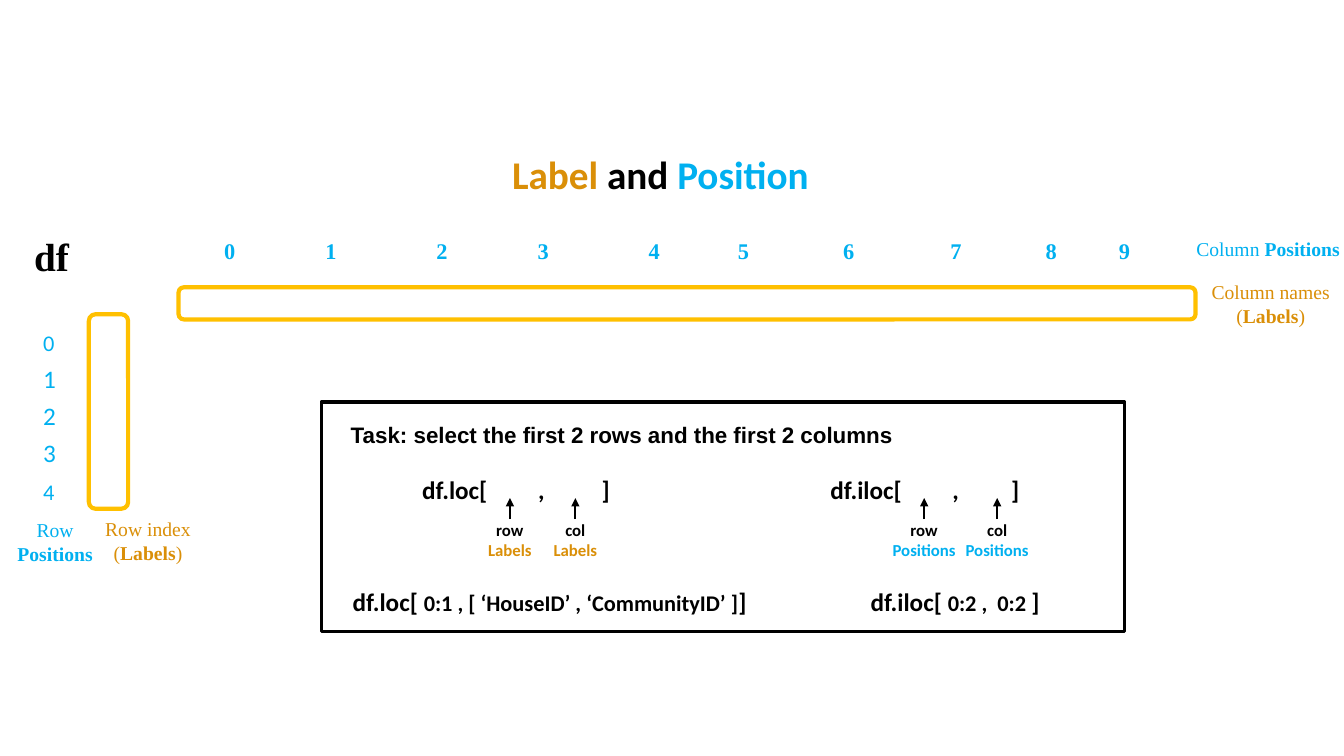
import pptx
import pptx.util
import pptx.dml.color
import pptx.enum.shapes
import pptx.enum.text
import pptx.oxml
import pptx.oxml.ns

Cm = pptx.util.Cm
Pt = pptx.util.Pt
SHAPE = pptx.enum.shapes.MSO_SHAPE
ALIGN = pptx.enum.text.PP_ALIGN
ANCHOR = pptx.enum.text.MSO_ANCHOR
INK = {"label": "DA8F08", "place": "00B0F0", "frame": "FFC000",
       "black": "000000", "white": "FFFFFF"}
SERIF, SANS = "Times New Roman", "Calibri"


def tint(name):
    """Return the named colour."""
    return pptx.dml.color.RGBColor.from_string(INK[name])


def write(frame, lines, size, font, align=ALIGN.LEFT, anchor=ANCHOR.TOP):
    """Fill a frame with lines of (text, colour, bold[, size]) runs."""
    frame.word_wrap = True
    frame.auto_size = pptx.enum.text.MSO_AUTO_SIZE.NONE
    frame.vertical_anchor = anchor
    for i, line in enumerate(lines):
        para = frame.add_paragraph() if i else frame.paragraphs[0]
        para.alignment = align
        for text, ink, bold, *own in line:
            run = para.add_run()
            run.text = text
            run.font.size = Pt(own[0] if own else size)
            run.font.name = font
            run.font.bold = bold
            run.font.color.rgb = tint(ink)


def note(slide, box, lines, size, font, **more):
    """Add a text box and return its frame."""
    frame = slide.shapes.add_textbox(*map(Cm, box)).text_frame
    write(frame, lines, size, font, **more)
    return frame


def stops(frame, spots, side):
    """Set tab stops, in cm, on the first paragraph."""
    props = frame.paragraphs[0]._p.get_or_add_pPr()
    tabs = pptx.oxml.ns.qn("a:tabLst")
    tabs = props.makeelement(tabs, {})
    props.append(tabs)
    for spot in spots:
        tab = tabs.makeelement(pptx.oxml.ns.qn("a:tab"), {"pos": str(int(Cm(spot))), "algn": side})
        tabs.append(tab)


def panel(slide, kind, box, ink, width, fill=None):
    """Add an outlined box."""
    shape = slide.shapes.add_shape(kind, *map(Cm, box))
    shape.shadow.inherit = False
    shape.line.color.rgb = tint(ink)
    shape.line.width = Pt(width)
    if fill:
        shape.fill.solid()
        shape.fill.fore_color.rgb = tint(fill)
    else:
        shape.fill.background()


def arrow(slide, x, low, high):
    """Draw an upward arrow."""
    kind = pptx.enum.shapes.MSO_CONNECTOR.STRAIGHT
    line = slide.shapes.add_connector(kind, Cm(x), Cm(low), Cm(x), Cm(high))
    line.line.color.rgb = tint("black")
    line.line.width = Pt(1.5)
    head = pptx.oxml.ns.qn("a:tailEnd")
    edge = line.line._get_or_add_ln()
    edge.append(edge.makeelement(head, {"type": "triangle"}))
    props = line._element.spPr
    props.append(props.makeelement(pptx.oxml.ns.qn("a:effectLst"), {}))


def labels(text):
    """Return the two lines of a label note."""
    return [[(text, "label", False)],
            [("(", "label", False), ("Labels", "label", True), (")", "label", False)]]


def heading(slide, box):
    """Place the slide title."""
    title = slide.shapes.title
    title.left, title.top, title.width, title.height = map(Cm, box)
    write(title.text_frame, [[("Label", "label", True), (" and ", "black", True),
                              ("Position", "place", True)]], 28, SANS)


def columns(slide, box):
    """Place the column positions and the column label frame."""
    x, y, w, h = box
    text = "".join(f"\t{i}" for i in range(10))
    frame = note(slide, (x, y, 28.98, 0.94), [[(text, "place", True)]], 16, SERIF)
    stops(frame, (2.8, 5.35, 8.15, 10.7, 13.5, 15.75, 18.4, 21.1, 23.5, 25.35), "ctr")
    panel(slide, SHAPE.ROUNDED_RECTANGLE, (x + 1.76, y + 1.4, 25.63, 0.81), "frame", 3)
    note(slide, (x + w - 4.2, y, 4.2, 0.86),
         [[("Column ", "place", False), ("Positions", "place", True)]], 14, SERIF)
    note(slide, (x + w - 4.31, y + h - 1.45, 4.47, 1.45), labels("Column names"),
         14, SERIF, align=ALIGN.CENTER)


def rows(slide, box):
    """Place the row positions and the row label frame."""
    x, y, w, h = box
    note(slide, (x + 0.58, y, 1.78, 1.45), [[("df", "black", True)]], 28, SERIF)
    for i in range(5):
        size = 16 if i in (0, 4) else 18
        note(slide, (x + 0.81, y + 2.35 + 0.94 * i, 1.27, 1.02),
             [[(str(i), "place", False)]], size, SANS, anchor=ANCHOR.BOTTOM)
    panel(slide, SHAPE.ROUNDED_RECTANGLE, (x + 2.21, y + 2.2, 0.99, 4.9), "frame", 3)
    note(slide, (x, y + h - 1.45, 2.72, 1.45),
         [[("Row", "place", False)], [("Positions", "place", True)]],
         14, SERIF, align=ALIGN.CENTER)
    note(slide, (x + w - 3.96, y + h - 1.47, 3.96, 1.45), labels("Row index"),
         14, SERIF, align=ALIGN.CENTER)


def method(slide, box, name, gaps, marks, kind, ink, shift, answer):
    """Place one selector with its arrows, tags and answer."""
    x, y, w, h = box
    frame = note(slide, (x, y, 5.33, 1.02), [[(f"df.{name}[\t,\t]", "black", True)]], 18, SANS)
    stops(frame, gaps, "l")
    for axis, mark in zip(("row", "col"), marks):
        arrow(slide, x + mark, y + 1.24, y + 0.71)
        note(slide, (x + mark - 1.2, y + 1.14, 2.4, 1.27),
             [[(axis, "black", True)], [(kind, ink, True)]], 12, SANS, align=ALIGN.CENTER)
    note(slide, (x + shift, y + h - 1.02, w, 1.02),
         [[(f"df.{name}[ ", "black", True), (answer, "black", True, 16), ("]", "black", True)]],
         18, SANS)


def task(slide, box):
    """Place the task panel with both selectors."""
    x, y, w, h = box
    panel(slide, SHAPE.RECTANGLE, box, "black", 2.5, "white")
    note(slide, (x + 0.49, y + 0.36, 17.45, 0.94),
         [[("Task: select the first 2 rows and the first 2 columns", "black", True)]], 16, "Arial")
    method(slide, (x + 2.29, y + 1.71, 11.07, 3.84), "loc", (2.92, 4.52), (2.46, 4.11),
           "Labels", "label", -1.75, "0:1 , [ ‘HouseID’ , ‘CommunityID’ ]")
    method(slide, (x + 12.58, y + 1.71, 8.18, 3.84), "iloc", (3.07, 4.55), (2.61, 4.45),
           "Positions", "place", 1.01, "0:2 ,  0:2 ")


def main():
    """Build and save the slide."""
    deck = pptx.Presentation()
    deck.slide_width, deck.slide_height = Cm(33.87), Cm(19.05)
    slide = deck.slides.add_slide(deck.slide_layouts[5])
    heading(slide, (12.65, 3.66, 9.98, 1.45))
    columns(slide, (2.74, 5.84, 31.36, 2.54))
    rows(slide, (0.03, 5.72, 5.68, 8.66))
    task(slide, (8.1, 10.13, 20.24, 5.79))
    deck.save("out.pptx")


if __name__ == "__main__":
    main()
